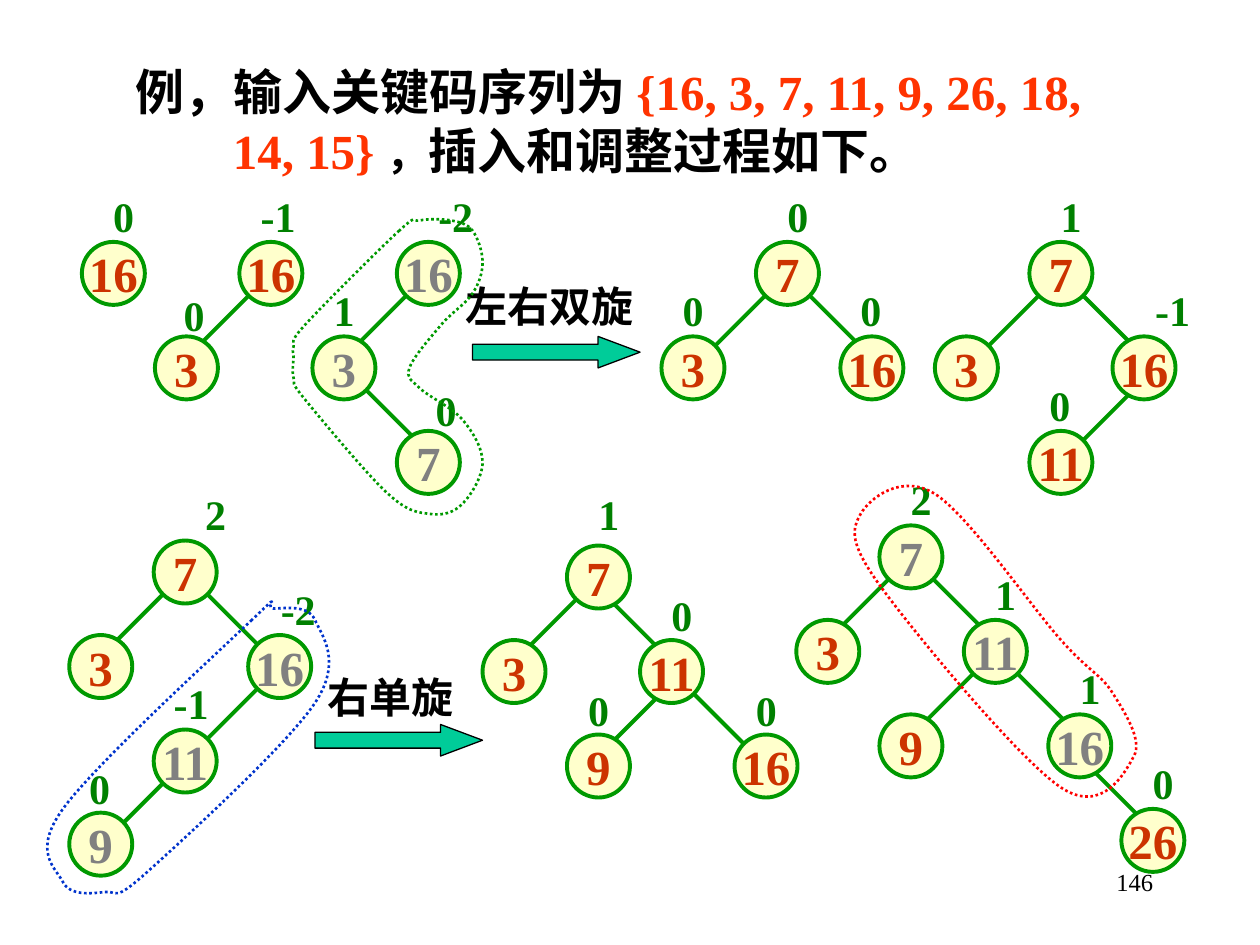
from dataclasses import dataclass

from lxml import etree
from pptx import Presentation
from pptx.dml.color import RGBColor
from pptx.enum import dml, shapes, text
from pptx.oxml.ns import qn
from pptx.util import Inches, Pt

FONT = "Times New Roman"
BLACK, RED, GREEN = "000000", "FF3300", "009900"
PLAIN, ROTATED = "CC3300", "808080"
SIZE = 0.5          # node diameter
STEM = 0.17         # distance from a node's centre to the start of its edges


@dataclass
class Node:
    key: int
    x: float
    y: float
    parent: int = None
    balance: str = ""
    dx: float = 0.15
    dy: float = -0.46
    color: str = PLAIN
    stem: float = STEM


TITLE = [
    (0, [("例，输入关键码序列为 ", 28, BLACK), ("{16, 3, 7, 11, 9, 26, 18, ", 28, RED)]),
    (0.77, [("14, 15} ", 28, RED), ("，", 24, BLACK), ("插入和调整过程如下。", 28, BLACK)]),
]

# Nodes of each tree; parent is the index within the same tree
TREES = [
    [Node(16, 0.65, 1.92, balance="0")],
    [Node(16, 1.9, 1.92, balance="-1", dx=0.07),
     Node(3, 1.23, 2.67, 0, "0", 0.13, -0.42)],
    [Node(16, 3.15, 1.92, None, "-2", 0.23, color=ROTATED),
     Node(3, 2.48, 2.67, 0, "1", 0.07, color=ROTATED),
     Node(7, 3.15, 3.42, 1, "0", 0.21, -0.42, ROTATED)],
    [Node(7, 6, 1.92, balance="0"),
     Node(3, 5.25, 2.67, 0, "0", 0.07),
     Node(16, 6.67, 2.67, 0, "0", 0.06)],
    [Node(7, 8.17, 1.92, balance="1"),
     Node(3, 7.42, 2.67, 0),
     Node(16, 8.83, 2.67, 0, "-1", 0.24),
     Node(11, 8.17, 3.42, 2, "0", 0.06, stem=0.08)],
    [Node(7, 1.22, 4.29, None, "2", 0.31),
     Node(3, 0.55, 5.04, 0),
     Node(16, 1.97, 5.04, 0, "-2", 0.16, color=ROTATED),
     Node(11, 1.22, 5.79, 2, "-1", 0.06, color=ROTATED),
     Node(9, 0.55, 6.45, 3, "0", 0.06, -0.45, ROTATED)],
    [Node(7, 4.5, 4.33, None, "1", dy=-0.5),
     Node(3, 3.83, 5.08, 0),
     Node(11, 5.08, 5.08, 0, "0", dy=-0.45, stem=0.08),
     Node(9, 4.5, 5.83, 2, "0", 0.07, -0.45, stem=0.08),
     Node(16, 5.83, 5.83, 2, "0", 0.07, -0.45)],
    [Node(7, 6.98, 4.17, None, "2", color=ROTATED),
     Node(3, 6.32, 4.92, 0),
     Node(11, 7.65, 4.92, 0, "1", color=ROTATED),
     Node(9, 6.98, 5.67, 2),
     Node(16, 8.32, 5.67, 2, "1", color=ROTATED),
     Node(26, 8.9, 6.42, 4, "0", stem=0.08)],
]

# label, label box (left, top, width), arrow (left, top)
ROTATIONS = [("左右双旋", (3.6, 2.18, 1.64), (3.75, 2.67)),
             ("右单旋", (2.5, 5.28, 1.35), (2.5, 5.75))]

OUTLINES = [
    (GREEN, [(3.17, 1.83), (2.42, 2.58), (2.33, 2.75), (2.33, 2.83), (2.33, 3),
             (2.42, 3.17), (3.08, 3.92), (3.42, 4.08), (3.67, 4), (3.83, 3.67),
             (3.67, 3.33), (3.33, 3.08), (3.25, 2.92), (3.5, 2.58), (3.75, 2.33),
             (3.83, 2.08), (3.75, 1.83), (3.58, 1.75), (3.33, 1.75)]),
    ("0033CC", [(2, 4.92), (0.5, 6.42), (0.5, 7), (0.83, 7.08), (1.17, 6.92),
                (2.5, 5.58), (2.5, 4.92), (2.17, 4.83)]),
    ("FF0000", [(7, 4.67), (8.42, 6.25), (9, 6), (8.83, 5.5), (8.42, 5.08),
                (7.42, 3.92), (6.83, 4.08)]),
]

prs = Presentation()
prs.slide_width, prs.slide_height = Inches(10), Inches(7.5)
s = prs.slides.add_slide(prs.slide_layouts[6])


def rgb(code):
    return RGBColor.from_string(code)


def style_font(font, size, color, bold=True):
    font.name, font.size, font.bold = FONT, Pt(size), bold
    font.color.rgb = rgb(color)


def style_shape(sp, fill, line, width):
    sp.shadow.inherit = False
    if fill:
        sp.fill.solid()
        sp.fill.fore_color.rgb = rgb(fill)
    else:
        sp.fill.background()
    sp.line.color.rgb = rgb(line)
    sp.line.width = Pt(width)


def add_text(words, x, y, w, size, color, bold=True, wrap=True, align=None):
    tf = s.shapes.add_textbox(*map(Inches, (x, y, w, 0.5))).text_frame
    tf.word_wrap = wrap
    p = tf.paragraphs[0]
    p.text, p.alignment = words, align
    style_font(p.font, size, color, bold)


def add_title():
    tf = s.shapes.add_textbox(*map(Inches, (0.98, 0.44, 8.12, 1.03))).text_frame
    tf.word_wrap = True
    for i, (indent, runs) in enumerate(TITLE):
        p = tf.add_paragraph() if i else tf.paragraphs[0]
        p.alignment = text.PP_ALIGN.JUSTIFY
        p._p.get_or_add_pPr().set("marL", str(Inches(indent)))
        for words, size, color in runs:
            r = p.add_run()
            r.text = words
            style_font(r.font, size, color)


def add_edge(parent, child):
    side = 1 if child.x > parent.x else -1
    reach = 0.5 if child.y > 5.5 else 0.42
    x = parent.x + SIZE / 2 + side * child.stem
    y = parent.y + SIZE / 2 + STEM
    ends = map(Inches, (x, y, x + side * reach, y + reach))
    line = s.shapes.add_connector(shapes.MSO_CONNECTOR.STRAIGHT, *ends)
    line.line.color.rgb = rgb(GREEN)
    line.line.width = Pt(2.25)
    etree.SubElement(line._element.spPr, qn("a:effectLst"))


def add_node(n):
    sp = s.shapes.add_shape(shapes.MSO_SHAPE.OVAL, *map(Inches, (n.x, n.y, SIZE, SIZE)))
    style_shape(sp, "FFFFCC", GREEN, 2.25)
    tf = sp.text_frame
    tf.word_wrap = False
    tf.vertical_anchor = text.MSO_ANCHOR.MIDDLE
    p = tf.paragraphs[0]
    p.text, p.alignment = str(n.key), text.PP_ALIGN.CENTER
    style_font(p.font, 28, n.color)
    if n.balance:
        signed = len(n.balance) > 1
        add_text(n.balance, n.x + n.dx, n.y + n.dy, 0.65 if signed else 0.37,
                 24, "008000", wrap=signed)


def curve_points(knots):
    """Two control points and an end point for each arc of a smooth closed curve."""
    n = len(knots)
    for i in range(n):
        axes = list(zip(*(knots[(i + k) % n] for k in (-1, 0, 1, 2))))
        yield [b + (c - a) / 6 for a, b, c, d in axes]
        yield [c - (d - b) / 6 for a, b, c, d in axes]
        yield [c for a, b, c, d in axes]


def add_outline(color, knots):
    points = [tuple(map(Inches, xy)) for xy in curve_points(knots)]
    builder = s.shapes.build_freeform(*map(Inches, knots[0]))
    builder.add_line_segments(points, close=True)
    sp = builder.convert_to_shape()
    segments = list(sp._element.iter(qn("a:lnTo")))
    for i in range(0, len(segments), 3):
        arc = etree.Element(qn("a:cubicBezTo"))
        segments[i].addprevious(arc)
        for segment in segments[i:i + 3]:
            arc.append(segment[0])
            segment.getparent().remove(segment)
    style_shape(sp, None, color, 1.5)
    sp.line.dash_style = dml.MSO_LINE.ROUND_DOT


add_title()
for tree in TREES:
    for n in tree:
        if n.parent is not None:
            add_edge(tree[n.parent], n)
    for n in tree:
        add_node(n)
for label, box, (x, y) in ROTATIONS:
    sp = s.shapes.add_shape(shapes.MSO_SHAPE.RIGHT_ARROW, *map(Inches, (x, y, 1.33, 0.25)))
    sp.adjustments[1] = 1.33
    style_shape(sp, "00CC99", BLACK, 0.75)
    add_text(label, *box, 24, BLACK)
for color, knots in OUTLINES:
    add_outline(color, knots)
add_text("146", 7.17, 6.83, 2.08, 14, BLACK, bold=False, align=text.PP_ALIGN.RIGHT)

prs.save("out.pptx")
